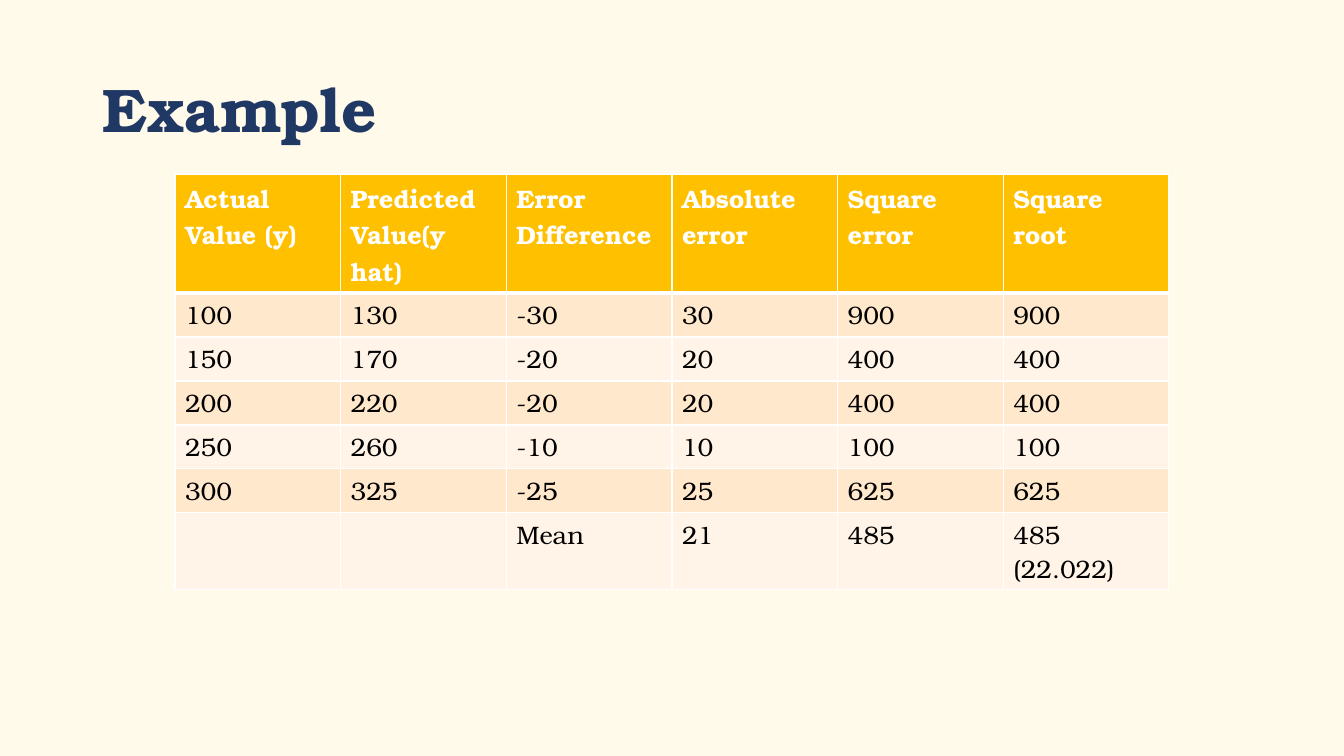
from dataclasses import dataclass

from lxml.etree import SubElement
from pptx import Presentation
from pptx.dml.color import RGBColor
from pptx.enum.text import MSO_ANCHOR
from pptx.oxml.ns import qn
from pptx.slide import Slide
from pptx.table import _Cell
from pptx.text.text import TextFrame
from pptx.util import Emu, Pt

EMU_PER_PX = 914400 / 100.8


@dataclass(frozen=True)
class Theme:
    font: str = "TeX Gyre Bonum"
    background: str = "FFFAEA"
    title: str = "203864"
    header_fill: str = "FFC000"
    header_text: str = "FFFFFF"
    body_text: str = "000000"
    bands: tuple[str, str] = ("FFE8CC", "FFF4E7")
    border: str = "FFFFFF"
    title_size: int = 44
    table_size: int = 18
    thin_border: int = 1
    thick_border: int = 3


@dataclass(frozen=True)
class Box:
    left: int
    top: int
    width: int
    height: int

    def emu(self) -> tuple[Emu, Emu, Emu, Emu]:
        return px(self.left), px(self.top), px(self.width), px(self.height)


@dataclass(frozen=True)
class TableRow:
    values: tuple[str, ...]
    height: int = 44


THEME = Theme()
TITLE_BOX = Box(93, 40, 1159, 146)
TABLE_BOX = Box(175, 174, 994, 416)
ERROR_ROWS = (
    TableRow(("Actual Value (y)", "Predicted Value(y hat)", "Error Difference",
              "Absolute error", "Square error", "Square root"), 119),
    TableRow(("100", "130", "-30", "30", "900", "900")),
    TableRow(("150", "170", "-20", "20", "400", "400")),
    TableRow(("200", "220", "-20", "20", "400", "400")),
    TableRow(("250", "260", "-10", "10", "100", "100")),
    TableRow(("300", "325", "-25", "25", "625", "625")),
    TableRow(("", "", "Mean", "21", "485", "485 (22.022)"), 77),
)


def px(length: int) -> Emu:
    return Emu(round(length * EMU_PER_PX))


def write_text(frame: TextFrame, text: str, *, size: int, color: str,
               bold: bool = False, line_spacing: float = 1.0) -> None:
    frame.word_wrap = True
    paragraph = frame.paragraphs[0]
    paragraph.line_spacing = line_spacing
    run = paragraph.add_run()
    run.text = text
    run.font.name = THEME.font
    run.font.size = Pt(size)
    run.font.bold = bold
    run.font.color.rgb = RGBColor.from_string(color)


def draw_borders(cell: _Cell, top: int, bottom: int) -> None:
    properties = cell._tc.get_or_add_tcPr()
    widths = {"a:lnL": THEME.thin_border, "a:lnR": THEME.thin_border,
              "a:lnT": top, "a:lnB": bottom}
    for side, width in widths.items():
        line = SubElement(properties, qn(side), w=str(Pt(width)))
        fill = SubElement(line, qn("a:solidFill"))
        SubElement(fill, qn("a:srgbClr"), val=THEME.border)


def draw_title(slide: Slide, title: str) -> None:
    frame = slide.shapes.add_textbox(*TITLE_BOX.emu()).text_frame
    frame.vertical_anchor = MSO_ANCHOR.MIDDLE
    write_text(frame, title, size=THEME.title_size, color=THEME.title,
               bold=True, line_spacing=0.9)


def draw_error_table(slide: Slide, rows: tuple[TableRow, ...]) -> None:
    table = slide.shapes.add_table(
        len(rows), len(rows[0].values), *TABLE_BOX.emu()).table
    table.horz_banding = False
    for index, row in enumerate(rows):
        table.rows[index].height = px(row.height)
        is_header = index == 0
        band = THEME.header_fill if is_header else THEME.bands[(index - 1) % 2]
        top = THEME.thick_border if index == 1 else THEME.thin_border
        bottom = THEME.thick_border if is_header else THEME.thin_border
        for column, value in enumerate(row.values):
            cell = table.cell(index, column)
            draw_borders(cell, top, bottom)
            cell.fill.solid()
            cell.fill.fore_color.rgb = RGBColor.from_string(band)
            if value:
                write_text(cell.text_frame, value, size=THEME.table_size,
                           color=THEME.header_text if is_header else THEME.body_text,
                           bold=is_header)


def main() -> None:
    presentation = Presentation()
    presentation.slide_width = px(1344)
    presentation.slide_height = px(756)
    slide = presentation.slides.add_slide(presentation.slide_layouts[6])
    slide.background.fill.solid()
    slide.background.fill.fore_color.rgb = RGBColor.from_string(THEME.background)
    draw_title(slide, "Example")
    draw_error_table(slide, ERROR_ROWS)
    presentation.save("out.pptx")


if __name__ == "__main__":
    main()
